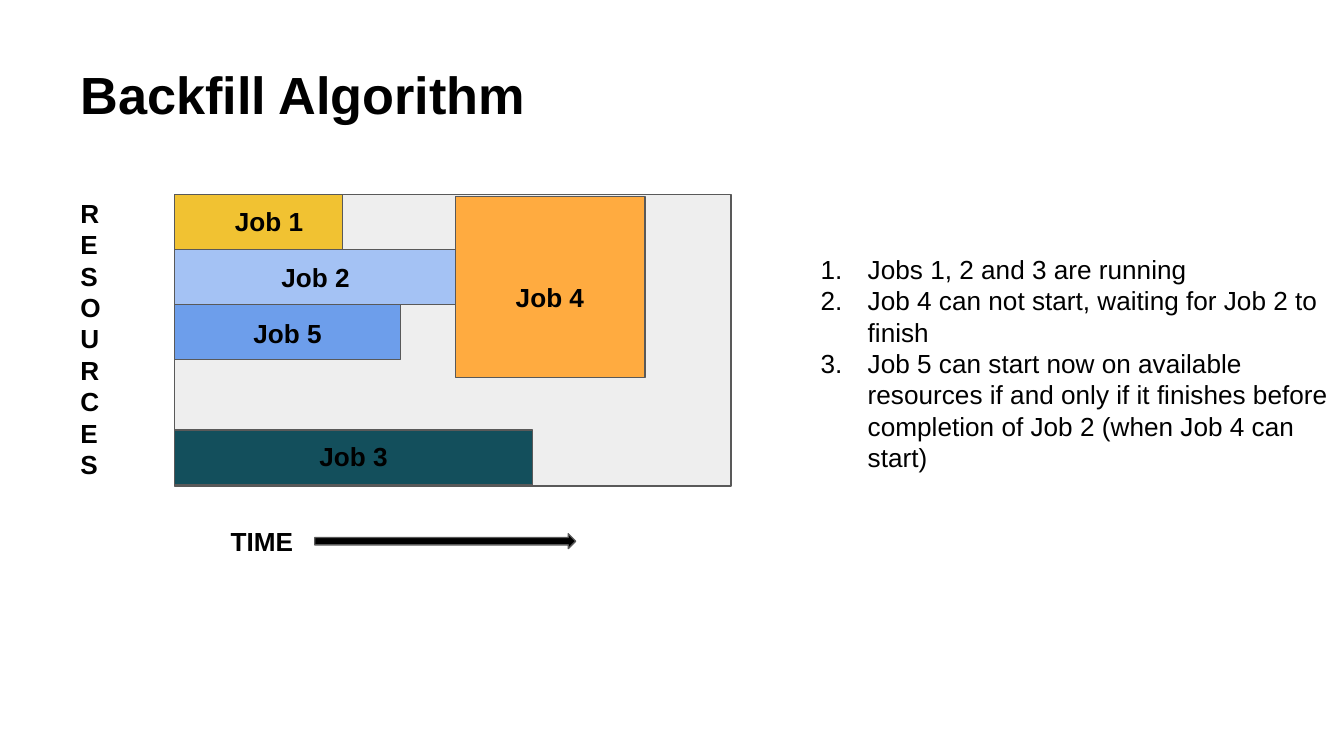
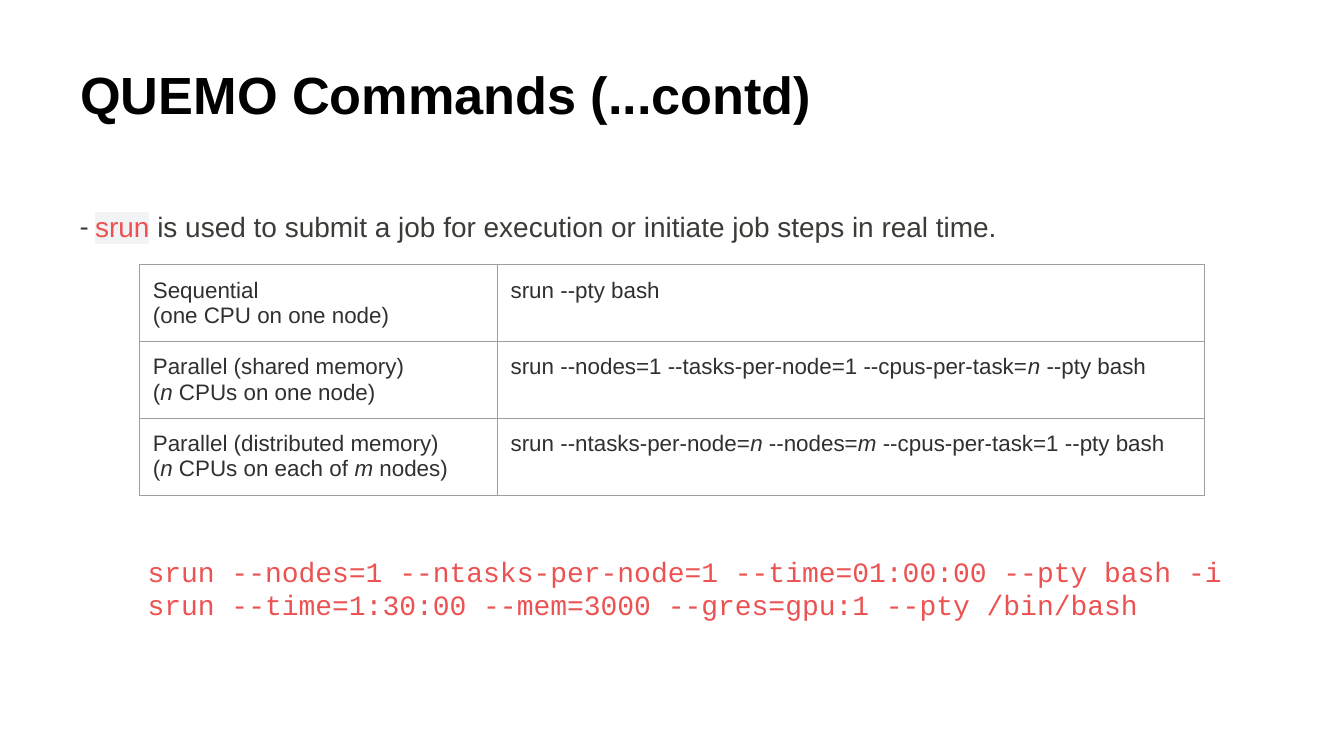
import dataclasses

import lxml.etree
import pptx
import pptx.dml.color
import pptx.enum.shapes
import pptx.enum.text
import pptx.oxml.ns
import pptx.util

Cm = pptx.util.Cm
Pt = pptx.util.Pt
qn = pptx.oxml.ns.qn
SHAPE = pptx.enum.shapes.MSO_SHAPE
ALIGN = pptx.enum.text.PP_ALIGN
ANCHOR = pptx.enum.text.MSO_ANCHOR
TITLE_ONLY = 5


@dataclasses.dataclass(frozen=True)
class Theme:
    font: str = "Arial"
    dash_font: str = "Roboto"
    code_font: str = "Courier New"
    title: float = 28
    body: float = 14
    lead: float = 15
    cell: float = 12
    line: float = 0.75
    black: str = "000000"
    outline: str = "595959"
    grid_fill: str = "EEEEEE"
    lead_text: str = "3C3B37"
    code: str = "EC5252"
    code_back: str = "F2F3F5"
    cell_text: str = "303030"
    cell_border: str = "9E9E9E"
    yellow: str = "F1C232"
    pale_blue: str = "A4C2F4"
    teal: str = "134F5C"
    blue: str = "6D9EEB"
    orange: str = "FFAB40"


@dataclasses.dataclass(frozen=True)
class Box:
    x: float
    y: float
    w: float
    h: float

    def inner(self, x, y, w, h):
        return Box(self.x + x, self.y + y, w, h)

    def emu(self):
        return Cm(self.x), Cm(self.y), Cm(self.w), Cm(self.h)


T = Theme()
TITLE_BOX = Box(1.27, 0.58, 22.86, 2.39)
JOB_H = 1.04
JOBS = [
    ("Job 1", T.yellow, (0, 0, 3.18, JOB_H), (0.64, -0.04)),
    ("Job 2", T.pale_blue, (0, JOB_H, 5.31, JOB_H), (1.52, 1.02)),
    ("Job 3", T.teal, (0, 4.45, 6.76, JOB_H), (2.24, 4.4)),
    ("Job 5", T.blue, (0, 2 * JOB_H, 4.27, JOB_H), (0.99, 2.07)),
    ("Job 4", T.orange, (5.31, 0.03, 3.58, 3.43), (5.95, 1.38)),
]
STEPS = [
    "Jobs 1, 2 and 3 are running",
    "Job 4 can not start, waiting for Job 2 to finish",
    "Job 5 can start now on available resources if and only if it finishes "
    "before completion of Job 2 (when Job 4 can start)",
]
MODES = [
    ("Sequential\n(one CPU on one node)", "srun --pty bash"),
    ("Parallel (shared memory)\n(*n* CPUs on one node)",
     "srun --nodes=1 --tasks-per-node=1 --cpus-per-task=*n* --pty bash"),
    ("Parallel (distributed memory)\n(*n* CPUs on each of *m* nodes)",
     "srun --ntasks-per-node=*n* --nodes=*m* --cpus-per-task=1 --pty bash"),
]
EXAMPLES = [
    "srun --nodes=1 --ntasks-per-node=1 --time=01:00:00 --pty bash -i",
    "srun --time=1:30:00 --mem=3000 --gres=gpu:1 --pty /bin/bash",
]


def rgb(value):
    return pptx.dml.color.RGBColor.from_string(value)


def style(r, size, color=T.black, font=T.font, bold=False, italic=False):
    r.font.name = font
    r.font.size = Pt(size)
    r.font.color.rgb = rgb(color)
    r.font.bold = bold
    r.font.italic = italic


def set_insets(tf, side, top, bottom):
    tf.margin_left = tf.margin_right = Cm(side)
    tf.margin_top = Cm(top)
    tf.margin_bottom = Cm(bottom)


def add_text(s, box, text, size=T.body, align=ALIGN.LEFT, inset=0.25, **look):
    tf = s.shapes.add_textbox(*box.emu()).text_frame
    tf.word_wrap = True
    set_insets(tf, 0.25, inset, inset)
    tf.text = text
    for p in tf.paragraphs:
        p.alignment = align
        for r in p.runs:
            style(r, size, **look)
    return tf


def add_block(s, kind, box, fill):
    sp = s.shapes.add_shape(kind, *box.emu())
    sp.shadow.inherit = False
    sp.fill.solid()
    sp.fill.fore_color.rgb = rgb(fill)
    sp.line.color.rgb = rgb(T.outline)
    sp.line.width = Pt(T.line)


def add_titled_slide(prs, text):
    s = prs.slides.add_slide(prs.slide_layouts[TITLE_ONLY])
    title = s.shapes.title
    title.left, title.top, title.width, title.height = TITLE_BOX.emu()
    tf = title.text_frame
    tf.text = text
    tf.word_wrap = True
    tf.auto_size = pptx.enum.text.MSO_AUTO_SIZE.NONE
    tf.vertical_anchor = ANCHOR.MIDDLE
    set_insets(tf, 0.25, 0.13, 0.13)
    p = tf.paragraphs[0]
    p.alignment = ALIGN.LEFT
    style(p.runs[0], T.title, bold=True)
    return s


def add_schedule(s, box):
    add_block(s, SHAPE.RECTANGLE, box, T.grid_fill)
    for name, fill, bar, label in JOBS:
        add_block(s, SHAPE.RECTANGLE, box.inner(*bar), fill)
        add_text(s, box.inner(*label, 2.29, 1.12), name, align=ALIGN.CENTER, bold=True)
    add_text(s, box.inner(-2.03, -0.2, 1.32, 5.89), "\n".join("RESOURCES"), bold=True)
    add_text(s, box.inner(0.81, 6, 1.93, 1.12), "TIME", bold=True)
    add_block(s, SHAPE.RIGHT_ARROW, box.inner(2.65, 6.41, 4.93, 0.28), T.black)


def add_steps(s, box):
    tf = add_text(s, box, "\n".join(STEPS))
    for p in tf.paragraphs:
        pPr = p._p.get_or_add_pPr()
        pPr.set("marL", str(Cm(1.27)))
        pPr.set("indent", str(-Cm(0.89)))
        lxml.etree.SubElement(pPr, qn("a:buAutoNum"), type="arabicPeriod")


def add_lead(s, box):
    tf = add_text(s, box, "- ", T.lead, inset=0.13, color=T.lead_text, font=T.dash_font)
    p = tf.paragraphs[0]
    p.line_spacing = 1.8
    command = p.add_run()
    command.text = "srun"
    style(command, T.lead, T.code)
    highlight = lxml.etree.Element(qn("a:highlight"))
    lxml.etree.SubElement(highlight, qn("a:srgbClr"), val=T.code_back)
    command._r.rPr.find(qn("a:solidFill")).addnext(highlight)
    r = p.add_run()
    r.text = " is used to submit a job for execution or initiate job steps in real time."
    style(r, T.lead, T.lead_text)


def set_borders(cell):
    tcPr = cell._tc.get_or_add_tcPr()
    for i, side in enumerate(("lnL", "lnR", "lnT", "lnB")):
        ln = lxml.etree.Element(qn("a:" + side), w=str(Pt(T.line)))
        fill = lxml.etree.SubElement(ln, qn("a:solidFill"))
        lxml.etree.SubElement(fill, qn("a:srgbClr"), val=T.cell_border)
        tcPr.insert(i, ln)


def fill_cell(cell, text):
    cell.fill.background()
    set_borders(cell)
    set_insets(cell, 0.25, 0.25, 0.18)
    tf = cell.text_frame
    for i, line in enumerate(text.split("\n")):
        p = tf.add_paragraph() if i else tf.paragraphs[0]
        for j, part in enumerate(line.split("*")):
            r = p.add_run()
            r.text = part
            style(r, T.cell, T.cell_text, italic=j % 2 == 1)


def add_modes(s, box):
    table = s.shapes.add_table(len(MODES), 2, *box.emu()).table
    table.first_row = table.horz_banding = False
    first = 6.76
    table.columns[0].width = Cm(first)
    table.columns[1].width = Cm(box.w - first)
    for row, texts in zip(table.rows, MODES):
        row.height = Cm(box.h / len(MODES))
        for cell, text in zip(row.cells, texts):
            fill_cell(cell, text)


def build_backfill(prs):
    s = add_titled_slide(prs, "Backfill Algorithm")
    add_schedule(s, Box(3.3, 3.68, 10.52, 5.51))
    add_steps(s, Box(14.88, 4.54, 10.59, 4.7))


def build_commands(prs):
    s = add_titled_slide(prs, "QUEMO Commands (...contd)")
    add_lead(s, Box(1.27, 3.33, 22.86, 1.4))
    add_modes(s, Box(2.64, 5, 20.12, 4.36))
    add_text(s, Box(2.54, 10.35, 21.6, 1.5), "\n".join(EXAMPLES), T.lead,
             inset=0.13, color=T.code, font=T.code_font)


def main():
    prs = pptx.Presentation()
    prs.slide_width = Cm(25.4)
    prs.slide_height = Cm(14.29)
    build_backfill(prs)
    build_commands(prs)
    prs.save("out.pptx")


if __name__ == "__main__":
    main()
